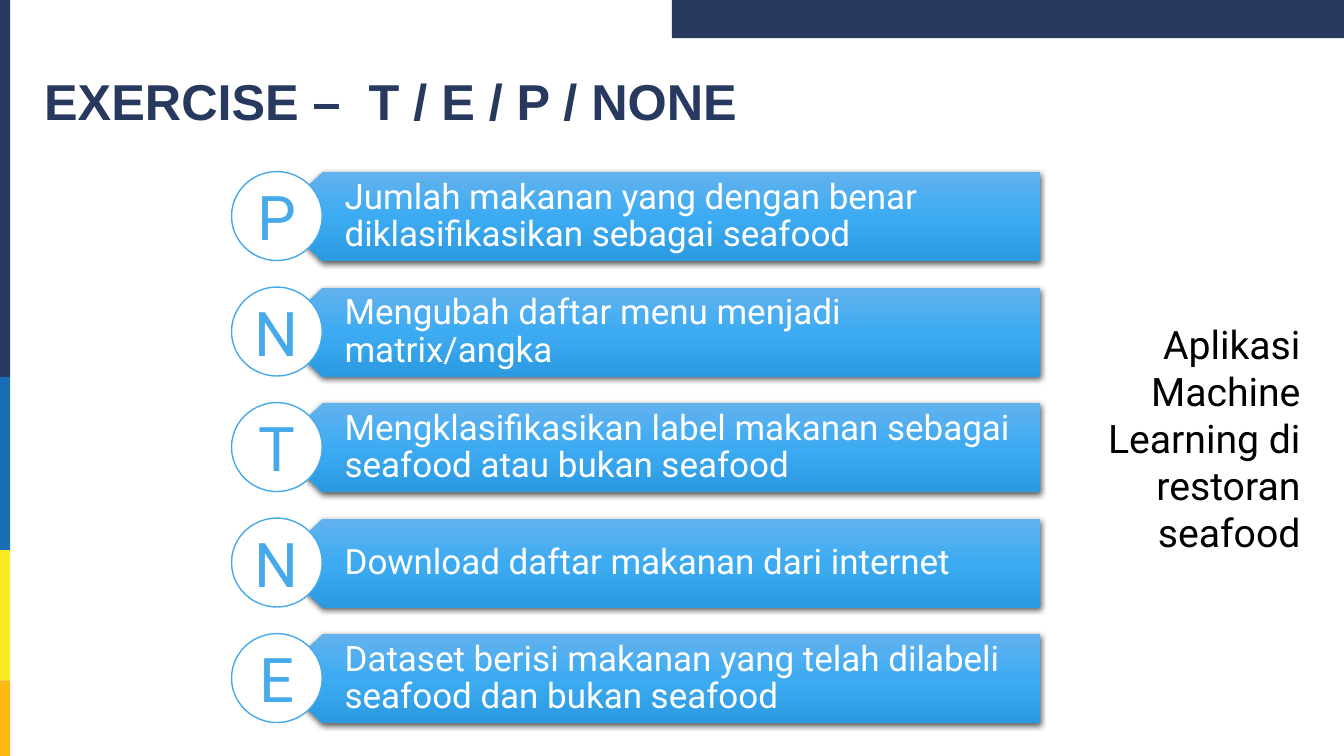
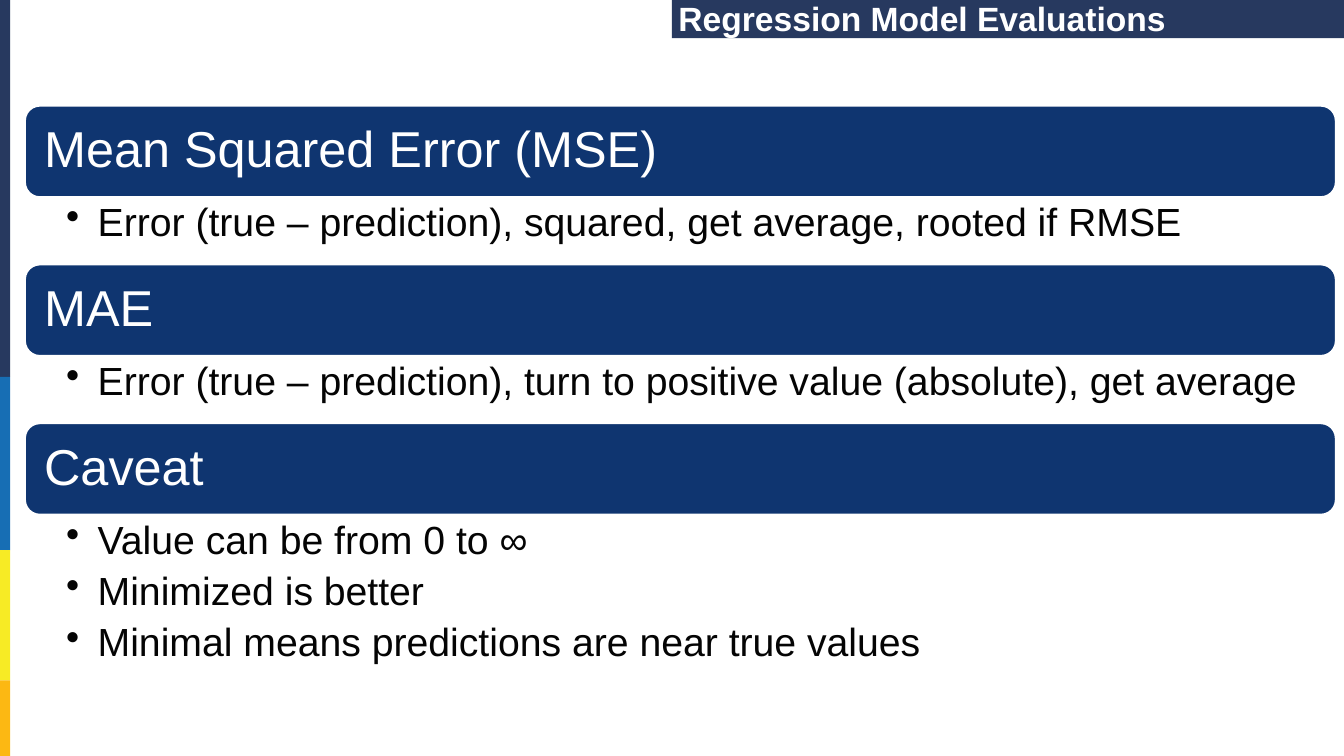
import copy
import dataclasses

import lxml.etree
import pptx
import pptx.dml.color
import pptx.enum.shapes
import pptx.enum.text
import pptx.oxml.ns
import pptx.util

Pt = pptx.util.Pt
SHAPE = pptx.enum.shapes.MSO_SHAPE
ALIGN = pptx.enum.text.PP_ALIGN
ANCHOR = pptx.enum.text.MSO_ANCHOR
qn = pptx.oxml.ns.qn
rgb = pptx.dml.color.RGBColor.from_string


@dataclasses.dataclass(frozen=True)
class Theme:
    navy = rgb("27395F")
    blue = rgb("176EB4")
    yellow = rgb("F7EB25")
    orange = rgb("FCB813")
    white = rgb("FFFFFF")
    black = rgb("000000")
    bullet_ink = rgb("040404")
    heading_bar = rgb("0F3570")
    sky = rgb("45A9EA")
    sky_gradient = ((0, rgb("62B2EE")), (0.5, rgb("3DABF2")), (1, rgb("2C9AE1")))
    title = {"name": "Arial", "size": Pt(36), "bold": True}
    band_title = {"name": "Arial", "size": Pt(24), "bold": True}
    heading = {"name": "Arial", "size": Pt(36)}
    bullet = {"name": "Arial", "size": Pt(28)}
    note = {"name": "Roboto", "size": Pt(28)}
    statement = {"name": "Roboto", "size": Pt(25)}
    letter = {"name": "Roboto", "size": Pt(44)}


theme = Theme()


def add_panel(page, kind, frame, fill, line=None, line_width=1):
    """Add a flat preset shape; frame is left, top, width, height in points."""
    panel = page.shapes.add_shape(kind, *map(Pt, frame))
    panel.shadow.inherit = False
    panel.fill.solid()
    panel.fill.fore_color.rgb = fill
    if line is None:
        panel.line.fill.background()
    else:
        panel.line.color.rgb = line
        panel.line.width = Pt(line_width)
    return panel


def write_text(box, lines, style, color, insets=(7.2, 3.6, 7.2, 3.6), anchor=ANCHOR.MIDDLE,
               align=ALIGN.LEFT, spacing=0.9, bullet_indent=0):
    """Fill a shape with paragraphs; insets are left, top, right, bottom in points."""
    frame = box.text_frame
    frame.word_wrap = True
    frame.vertical_anchor = anchor
    for side, inset in zip(("left", "top", "right", "bottom"), insets):
        setattr(frame, f"margin_{side}", Pt(inset))
    for number, line in enumerate(lines):
        para = frame.add_paragraph() if number else frame.paragraphs[0]
        if bullet_indent:
            properties = para._p.get_or_add_pPr()
            properties.set("marL", str(Pt(bullet_indent)))
            properties.set("indent", str(-Pt(bullet_indent)))
            lxml.etree.SubElement(properties, qn("a:buChar"), char="•")
            para.space_after = Pt(6.5)
        para.alignment = align
        para.line_spacing = spacing
        span = para.add_run()
        span.text = line
        for name, value in style.items():
            setattr(span.font, name, value)
        span.font.color.rgb = color


deck = pptx.Presentation()
deck.slide_width, deck.slide_height = Pt(960), Pt(540)
blank = deck.slide_layouts[6]
exercise, regression = deck.slides.add_slide(blank), deck.slides.add_slide(blank)

# Side stripe and top band on every slide
stripe = ((0, 269.3, theme.navy), (269.3, 123.7, theme.blue),
          (393, 93, theme.yellow), (486, 54, theme.orange))
for page in (exercise, regression):
    for top, height, color in stripe:
        add_panel(page, SHAPE.RECTANGLE, (0, top, 7.2, height), color)
    add_panel(page, SHAPE.RECTANGLE, (480, 0, 480, 27.2), theme.navy)

# Exercise slide
title = exercise.shapes.add_textbox(Pt(24.5), Pt(27), Pt(911), Pt(95))
write_text(title, ["EXERCISE –  T / E / P / NONE"], theme.title, theme.navy)
note = exercise.shapes.add_textbox(Pt(751), Pt(225.4), Pt(185), Pt(177))
write_text(note, ["Aplikasi Machine Learning di restoran seafood"], theme.note, theme.black,
           anchor=ANCHOR.TOP, align=ALIGN.RIGHT, spacing=1)

answers = (
    ("P", "Jumlah makanan yang dengan benar diklasiﬁkasikan sebagai seafood"),
    ("N", "Mengubah daftar menu menjadi matrix/angka"),
    ("T", "Mengklasiﬁkasikan label makanan sebagai seafood atau bukan seafood"),
    ("N", "Download daftar makanan dari internet"),
    ("E", "Dataset berisi makanan yang telah dilabeli seafood dan bukan seafood"),
)
row_top, row_pitch, row_height = 123, 82.5, 63.5
tip, shoulder, right = 198, 230.4, 743
for row, (letter, statement) in enumerate(answers):
    top = row_top + row * row_pitch
    bottom = top + row_height
    outline = ((shoulder, bottom), (tip, top + row_height / 2), (shoulder, top), (right, top))
    builder = exercise.shapes.build_freeform(Pt(right), Pt(bottom))
    builder.add_line_segments([(Pt(x), Pt(y)) for x, y in outline], close=True)
    arrow = builder.convert_to_shape()
    arrow.line.fill.background()

    arrow.fill.gradient()
    arrow.fill.gradient_angle = 270
    stop_list = arrow._element.spPr.find(".//" + qn("a:gsLst"))
    stop_list.insert(1, copy.deepcopy(stop_list[0]))
    for stop, (position, color) in zip(arrow.fill.gradient_stops, theme.sky_gradient):
        stop.position = position
        stop.color.rgb = color

    arrow.shadow.inherit = False
    effects = arrow._element.spPr.find(qn("a:effectLst"))
    shadow = lxml.etree.SubElement(effects, qn("a:outerShdw"), blurRad=str(Pt(4.5)),
                                   dist=str(Pt(1.5)), dir="5400000", algn="ctr", rotWithShape="0")
    shade = lxml.etree.SubElement(shadow, qn("a:srgbClr"), val=str(theme.black))
    lxml.etree.SubElement(shade, qn("a:alpha"), val="63000")
    write_text(arrow, [statement], theme.statement, theme.white, insets=(48.2, 7.2, 13.6, 7.2))

    circle = add_panel(exercise, SHAPE.OVAL, (165.4, top - 0.4, 64.8, row_height),
                       theme.white, theme.sky)
    write_text(circle, [letter], theme.letter, theme.sky, insets=(0, 0, 0, 0),
               align=ALIGN.CENTER, spacing=1)

# Regression slide
band_title = regression.shapes.add_textbox(Pt(484.6), Pt(-3.6), Pt(470), Pt(36.7))
write_text(band_title, ["Regression Model Evaluations"], theme.band_title, theme.white,
           insets=(0, 0, 0, 0))

sections = (
    ("Mean Squared Error (MSE)",
     ["Error (true – prediction), squared, get average, rooted if RMSE"]),
    ("MAE", ["Error (true – prediction), turn to positive value (absolute), get average"]),
    ("Caveat", ["Value can be from 0 to ∞", "Minimized is better",
                "Minimal means predictions are near true values"]),
)
left, width, bar_height = 17.5, 937, 66
for number, (heading, bullets) in enumerate(sections):
    top = 75.2 + number * 113.4
    bar = add_panel(regression, SHAPE.ROUNDED_RECTANGLE, (left, top, width, bar_height),
                    theme.heading_bar, theme.white, 2)
    write_text(bar, [heading], theme.heading, theme.white, insets=(10.8, 7.2, 10.8, 7.2))
    body = regression.shapes.add_textbox(Pt(left), Pt(top + bar_height), Pt(width),
                                         Pt(11.5 + 35.5 * len(bullets)))
    write_text(body, bullets, theme.bullet, theme.bullet_ink, insets=(29.8, 3.6, 20, 3.6),
               anchor=ANCHOR.TOP, bullet_indent=22.5)

deck.save("out.pptx")
